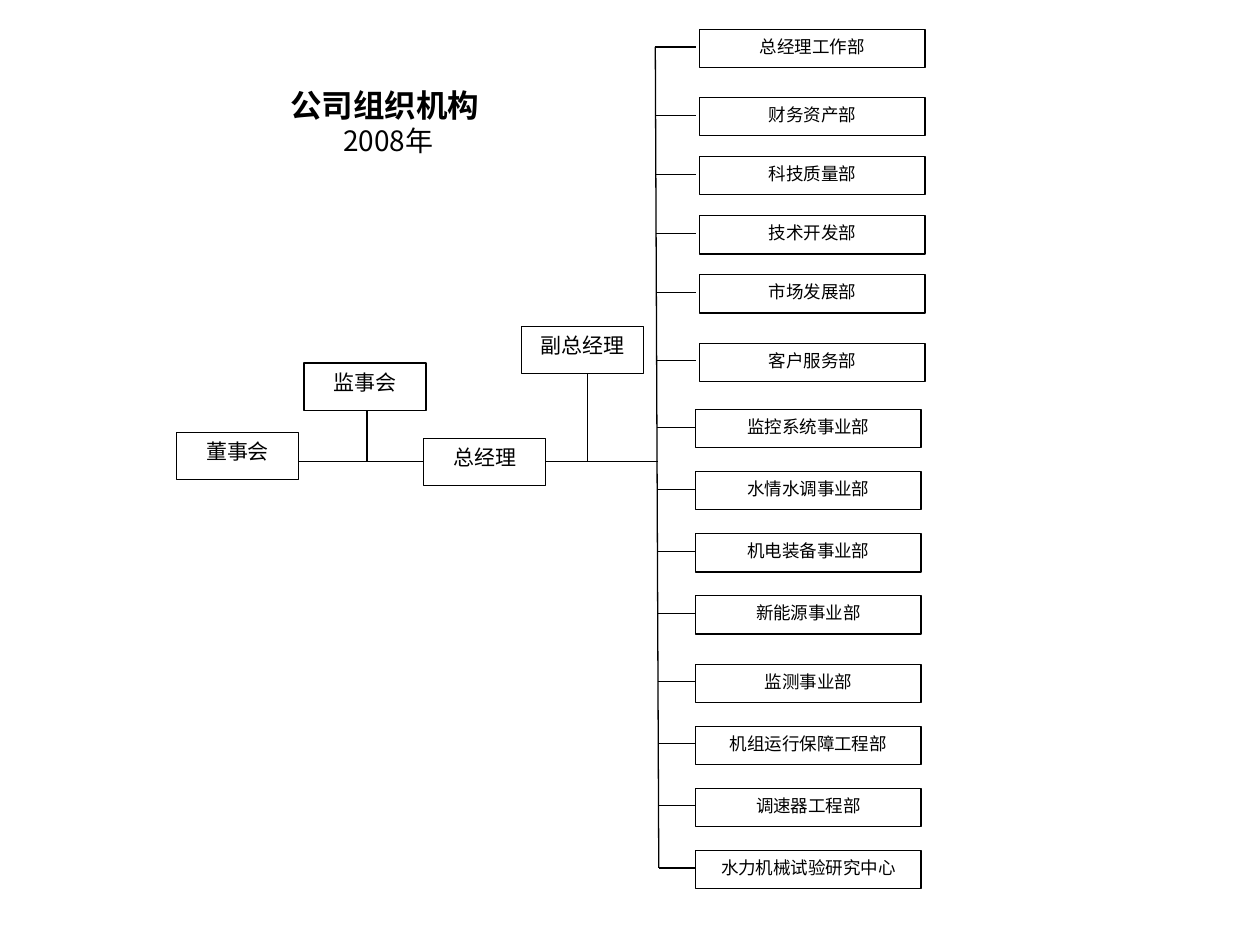
from collections import namedtuple
from dataclasses import dataclass

from lxml.etree import SubElement
from pptx import Presentation
from pptx.dml.color import RGBColor
from pptx.enum.shapes import MSO_CONNECTOR, MSO_SHAPE
from pptx.enum.text import MSO_ANCHOR, MSO_AUTO_SIZE, PP_ALIGN
from pptx.oxml.ns import qn
from pptx.util import Cm, Pt

Box = namedtuple("Box", "x y w h")
Group = namedtuple("Group", "x y step extra wide names")


@dataclass(frozen=True)
class Theme:
    ink: RGBColor = RGBColor(0, 0, 0)
    paper: RGBColor = RGBColor(255, 255, 255)
    latin: str = "Calibri"
    cjk: str = "Noto Sans CJK SC"
    title: int = 18
    year: int = 16
    leader: int = 12
    department: int = 10
    line: float = 0.75


THEME = Theme()
FRAME = dict(word_wrap=True, vertical_anchor=MSO_ANCHOR.TOP,
             margin_left=Cm(0.25), margin_right=Cm(0.25),
             margin_top=Cm(0.13), margin_bottom=Cm(0.13))

# Places are in cm, relative to the box of the region.
LEADER_SIZE = (2.46, 0.95)
LEADERS = {"副总经理": (6.96, 0), "总经理": (4.98, 2.26),
           "监事会": (2.57, 0.74), "董事会": (0, 2.14)}
LEADER_LINES = [((2.46, 2.72), (4.98, 2.72)), ((3.84, 1.68), (3.84, 2.72)),
                ((7.44, 2.72), (9.7, 2.72)), ((8.28, 0.95), (8.28, 2.72))]

# A gap listed in "wide" (by the row below it) is larger by "extra".
DEPARTMENT_SIZE = (4.55, 0.77)
DEPARTMENTS = [
    Group(0.89, 0, 1.19, 0.19, (1, 5),
          ["总经理工作部", "财务资产部", "科技质量部", "技术开发部",
           "市场发展部", "客户服务部"]),
    Group(0.81, 7.67, 1.25, 0.13, (4,),
          ["监控系统事业部", "水情水调事业部", "机电装备事业部", "新能源事业部",
           "监测事业部", "机组运行保障工程部", "调速器工程部",
           "水力机械试验研究中心"]),
]


def set_all(obj, values):
    for name, value in values.items():
        setattr(obj, name, value)


def style_box(sp, line_color):
    sp.fill.solid()
    sp.fill.fore_color.rgb = THEME.paper
    sp.line.color.rgb = line_color
    sp.line.width = Pt(THEME.line)
    set_all(sp.text_frame, FRAME)


def write(p, text, size, font, bold=False):
    p.alignment = PP_ALIGN.CENTER
    r = p.add_run()
    r.text = text
    set_all(r.font, dict(size=Pt(size), name=font, bold=bold))
    r.font.color.rgb = THEME.ink
    SubElement(r.font._element, qn("a:ea")).set("typeface", THEME.cjk)


def add_box(slide, box, text, size):
    sp = slide.shapes.add_shape(MSO_SHAPE.RECTANGLE, *map(Cm, box))
    sp.shadow.inherit = False
    style_box(sp, THEME.ink)
    write(sp.text_frame.paragraphs[0], text, size, THEME.latin)


def add_line(slide, start, end):
    line = slide.shapes.add_connector(MSO_CONNECTOR.STRAIGHT,
                                      *map(Cm, (*start, *end)))
    line.line.color.rgb = THEME.ink
    line.line.width = Pt(THEME.line)
    SubElement(line._element.spPr, qn("a:effectLst"))


def add_title(slide, box):
    sp = slide.shapes.title
    set_all(sp, dict(zip(("left", "top", "width", "height"), map(Cm, box))))
    style_box(sp, THEME.paper)
    tf = sp.text_frame
    tf.auto_size = MSO_AUTO_SIZE.NONE
    write(tf.paragraphs[0], "公司组织机构 ", THEME.title, THEME.cjk, bold=True)
    write(tf.add_paragraph(), "2008年", THEME.year, THEME.cjk)
    for p in tf.paragraphs:
        set_all(p, dict(space_before=Pt(0), space_after=Pt(0)))


def add_leaders(slide, box):
    for ends in LEADER_LINES:
        add_line(slide, *((box.x + x, box.y + y) for x, y in ends))
    for name, (x, y) in LEADERS.items():
        add_box(slide, Box(box.x + x, box.y + y, *LEADER_SIZE), name,
                THEME.leader)


def department_rows(box):
    """Yield the name and box of every department, from top to bottom."""
    for group in DEPARTMENTS:
        for i, name in enumerate(group.names):
            wide_gaps = sum(row <= i for row in group.wide)
            y = group.y + i * group.step + wide_gaps * group.extra
            yield name, Box(box.x + group.x, box.y + y, *DEPARTMENT_SIZE)


def add_departments(slide, box):
    """Draw the slightly leaning trunk, its branches and the departments."""
    lean, branch = 0.07, 0.83
    rows = list(department_rows(box))
    middles = [row.y + row.h / 2 - 0.03 for _, row in rows]
    top, bottom = middles[0], middles[-1]
    add_line(slide, (box.x, top), (box.x + lean, bottom))
    for (name, row), y in zip(rows, middles):
        x = box.x + lean * (y - top) / (bottom - top)
        add_line(slide, (x, y), (box.x + branch, y))
        add_box(slide, row, name, THEME.department)


def main():
    prs = Presentation()
    set_all(prs, dict(slide_width=Cm(25.4), slide_height=Cm(19.05)))
    slide = prs.slides.add_slide(prs.slide_layouts[5])
    add_leaders(slide, Box(3.56, 6.58, 9.7, 3.21))
    add_departments(slide, Box(13.21, 0.59, 5.44, 17.3))
    add_title(slide, Box(3.76, 1.6, 8.13, 1.7))
    prs.save("out.pptx")


if __name__ == "__main__":
    main()
